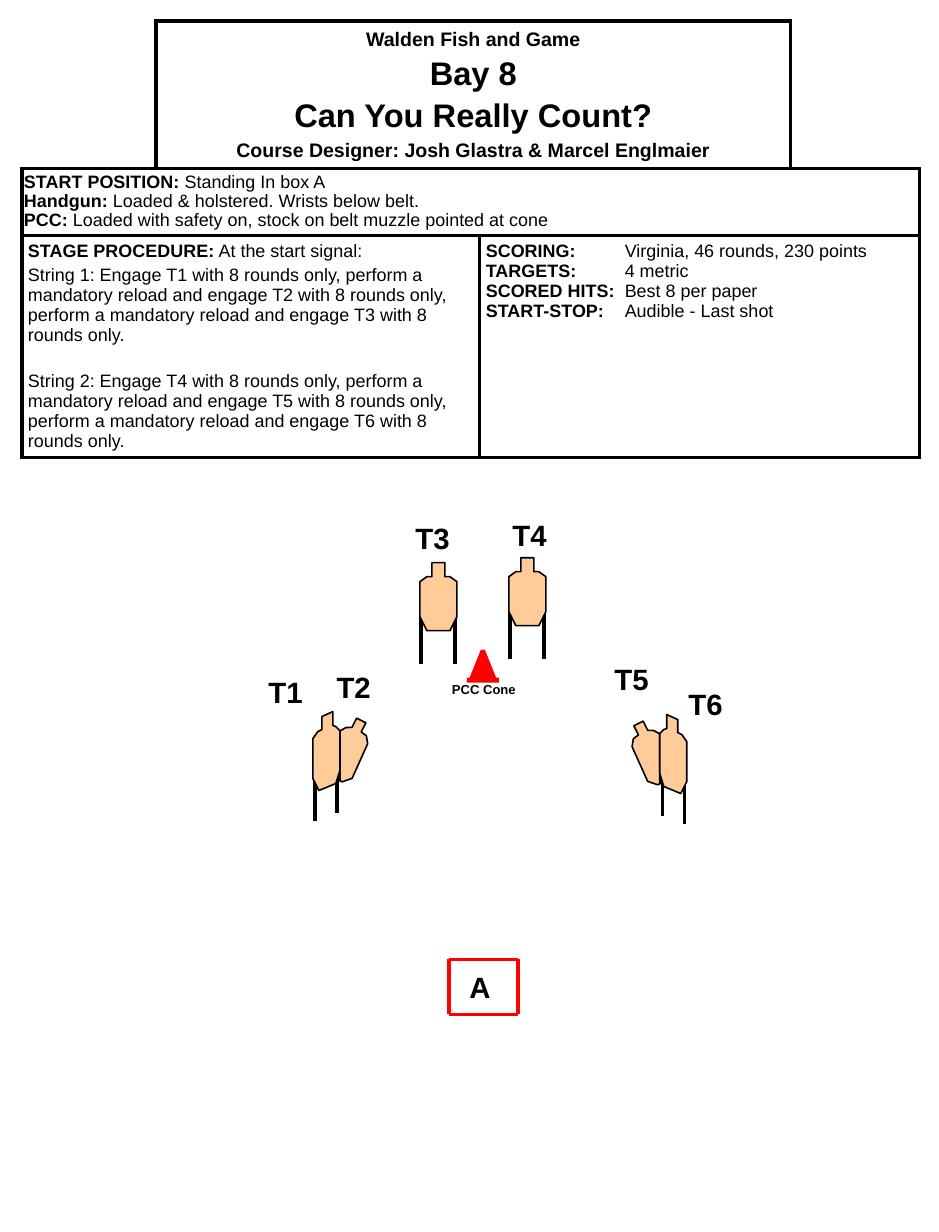
"""Builds the stage briefing sheet for Bay 8: header table and target layout."""
from lxml import etree
from pptx import Presentation
from pptx.dml.color import RGBColor
from pptx.enum.shapes import MSO_CONNECTOR, MSO_SHAPE
from pptx.enum.text import MSO_ANCHOR, PP_ALIGN
from pptx.oxml import parse_xml
from pptx.oxml.ns import nsdecls, qn
from pptx.util import Inches, Pt

LINE = MSO_CONNECTOR.STRAIGHT
TRIANGLE, RECT = MSO_SHAPE.ISOSCELES_TRIANGLE, MSO_SHAPE.RECTANGLE
CENTER, MIDDLE = PP_ALIGN.CENTER, MSO_ANCHOR.MIDDLE
FONT = "Arial"
SCALE = 914400 / 117.4
COLORS = {"ink": "000000", "paper": "FFFFFF", "target": "FFCC99", "red": "FF0000"}

TITLE = [("Walden Fish and Game", 12), ("Bay 8", 20), ("Can You Really Count?", 20),
         ("Course Designer: Josh Glastra & Marcel Englmaier", 12)]
START = [("START POSITION:", " Standing In box A"),
         ("Handgun:", " Loaded & holstered. Wrists below belt."),
         ("PCC:", " Loaded with safety on, stock on belt muzzle pointed at cone")]
STRING = ("String {}: Engage T{} with 8 rounds only, perform a mandatory reload and engage "
          "T{} with 8 rounds only, perform a mandatory reload and engage T{} with 8 rounds only.")
PROCEDURE = [("STAGE PROCEDURE:", " At the start signal:"),
             ("", STRING.format(1, 1, 2, 3)), ("", STRING.format(2, 4, 5, 6))]
SCORING = [("SCORING:", "\tVirginia, 46 rounds, 230 points"), ("TARGETS:", "\t4 metric"),
           ("SCORED HITS:", "\tBest 8 per paper"), ("START-STOP:", "\tAudible - Last shot")]
COLS, ROWS = [134, 324, 311, 129], [148, 67, 222]
TAB = 139

LABELS = [("T1", 257, 669), ("T2", 325, 664), ("T3", 404, 515),
          ("T4", 501, 512), ("T5", 603, 656), ("T6", 677, 681)]
FACING = [(12, 0), (25, 0), (25, 14), (30, 14), (37, 19), (37, 54),
          (30, 68), (7, 68), (0, 54), (0, 19), (7, 14), (12, 14)]
FACING_POSTS = [(1, 51, 101), (35, 51, 101)]
FACING_AT = [(420, 563), (509, 558)]
REAR = [(45, 7), (54, 12), (49, 21), (54, 25), (55, 33), (38, 67),
        (28, 70), (13, 63), (14, 49), (28, 19), (34, 16), (40, 16)]
EDGE = [(28, 70), (13, 62), (14, 48), (28, 19)]
FRONT = [(9, 5), (20, 0), (20, 14), (23, 15), (27, 19), (27, 59),
         (23, 72), (6, 79), (0, 67), (0, 27), (5, 20), (9, 18)]
PAIR_POSTS = [(2, 48, 109), (24, 40, 101)]
PAIRS_AT = [(313, 712, 1), (687, 715, -1)]
CONE = [(TRIANGLE, (469, 645, 28, 35), "red"), (RECT, (477, 645, 14, 5), "paper"),
        (RECT, (467, 678, 32, 5), "red")]
BOX = (449, 960, 518, 1015)


def px(n):
    return round(n * SCALE)


def rgb(name):
    return RGBColor.from_string(COLORS[name])


def style(font, size, bold=None):
    font.name, font.size, font.bold = FONT, Pt(size), bold
    font.color.rgb = rgb("ink")


def paragraphs(tf, count):
    return [tf.paragraphs[0]] + [tf.add_paragraph() for _ in range(count - 1)]


def fill_cell(cell, rows, gaps, tab=None, spacing=None):
    for p, (head, body), gap in zip(paragraphs(cell.text_frame, len(rows)), rows, gaps):
        if tab:
            tabs = etree.SubElement(p._p.get_or_add_pPr(), qn("a:tabLst"))
            etree.SubElement(tabs, qn("a:tab"), pos=str(px(tab)), algn="l")
        p.space_before, p.line_spacing = Pt(gap), spacing
        style(p.font, 11)
        for text, bold in ((head, True), (body, False)):
            if text:
                r = p.add_run()
                r.text = text
                style(r.font, 11, bold)


def border(cell, sides):
    for side in sides:
        cell._tc.get_or_add_tcPr().append(parse_xml(
            f'<a:ln{side} {nsdecls("a")} w="28575"><a:solidFill>'
            f'<a:srgbClr val="{COLORS["ink"]}"/></a:solidFill></a:ln{side}>'))


def add_briefing(s):
    table = s.shapes.add_table(len(ROWS), len(COLS), px(22), px(21),
                               px(sum(COLS)), px(sum(ROWS))).table
    table.first_row = table.horz_banding = False
    for col, w in zip(table.columns, COLS):
        col.width = px(w)
    for row, h in zip(table.rows, ROWS):
        row.height = px(h)
    corners = {(0, 0): "RB", (0, 3): "LB"}
    for i in range(len(ROWS)):
        for j in range(len(COLS)):
            cell = table.cell(i, j)
            border(cell, corners.get((i, j), "LRTB"))
            cell.fill.solid()
            cell.fill.fore_color.rgb = rgb("paper")
            cell.margin_left = cell.margin_right = px(2 if i == 1 else 6)
            cell.margin_top = cell.margin_bottom = px(5 if i == 1 else 6)
    for first, last in [((0, 1), (0, 2)), ((1, 0), (1, 3)), ((2, 0), (2, 1)), ((2, 2), (2, 3))]:
        table.cell(*first).merge(table.cell(*last))
    title = table.cell(0, 1)
    title.vertical_anchor = MIDDLE
    for i, (p, (text, size)) in enumerate(zip(paragraphs(title.text_frame, len(TITLE)), TITLE)):
        p.text, p.alignment = text, CENTER
        p.space_before = Pt(3.4 if i else 0)
        style(p.font, size, True)
    fill_cell(table.cell(1, 0), START, [0, 0.7, 0.7], spacing=0.9)
    fill_cell(table.cell(2, 0), PROCEDURE, [0, 2, 16.4])
    fill_cell(table.cell(2, 2), SCORING, [0] * len(SCORING), tab=TAB)


def add_label(s, text, x, y, w=68, h=47, size=18, align=None):
    tf = s.shapes.add_textbox(px(x), px(y), px(w), px(h)).text_frame
    tf.word_wrap = True
    p = tf.paragraphs[0]
    p.text, p.alignment = text, align
    style(p.font, size, True)


def add_line(s, x1, y1, x2, y2, color, width):
    c = s.shapes.add_connector(LINE, px(x1), px(y1), px(x2), px(y2))
    c.line.color.rgb, c.line.width = rgb(color), Pt(width)
    etree.SubElement(c._element.spPr, qn("a:effectLst"))


def paint(sp, fill, outlined):
    sp.shadow.inherit = False
    sp.fill.solid()
    sp.fill.fore_color.rgb = rgb(fill)
    if outlined:
        sp.line.color.rgb, sp.line.width = rgb("ink"), Pt(1)
    else:
        sp.line.fill.background()


def add_outline(s, points, x, y, side=1, fill="target", outlined=True, turn=0):
    points = [(x + side * dx, y + dy) for dx, dy in points]
    fb = s.shapes.build_freeform(*points[0], scale=SCALE)
    fb.add_line_segments(points[1:], close=True)
    sp = fb.convert_to_shape()
    paint(sp, fill, outlined)
    sp.rotation = turn


def add_posts(s, posts, x, y, width, side=1):
    for dx, top, bottom in posts:
        add_line(s, x + side * dx, y + top, x + side * dx, y + bottom, "ink", width)


def main():
    prs = Presentation()
    prs.slide_width, prs.slide_height = Inches(8), Inches(10.5)
    s = prs.slides.add_slide(prs.slide_layouts[6])
    add_briefing(s)
    for label in LABELS:
        add_label(s, *label)
    for kind, frame, color in CONE:
        paint(s.shapes.add_shape(kind, *map(px, frame)), color, False)
    add_label(s, "PCC Cone", 440, 676, 88, 28, 8, CENTER)
    left, top, right, bottom = BOX
    for y in (top, bottom):
        add_line(s, left, y, right, y, "red", 2)
    for x in (left, right):
        add_line(s, x, top, x, bottom, "red", 2)
    add_label(s, "A", 458, 964, 43)
    for x, y in FACING_AT:
        add_posts(s, FACING_POSTS, x, y, 2.25)
        add_outline(s, FACING, x, y)
    for x, y, side in PAIRS_AT:
        add_outline(s, REAR, x, y, side, turn=-2.3 * side)
        add_outline(s, EDGE, x, y, side, "ink", False)
        add_posts(s, PAIR_POSTS, x, y, 2, side)
        add_outline(s, FRONT, x, y, side)
    prs.save("out.pptx")


if __name__ == "__main__":
    main()
